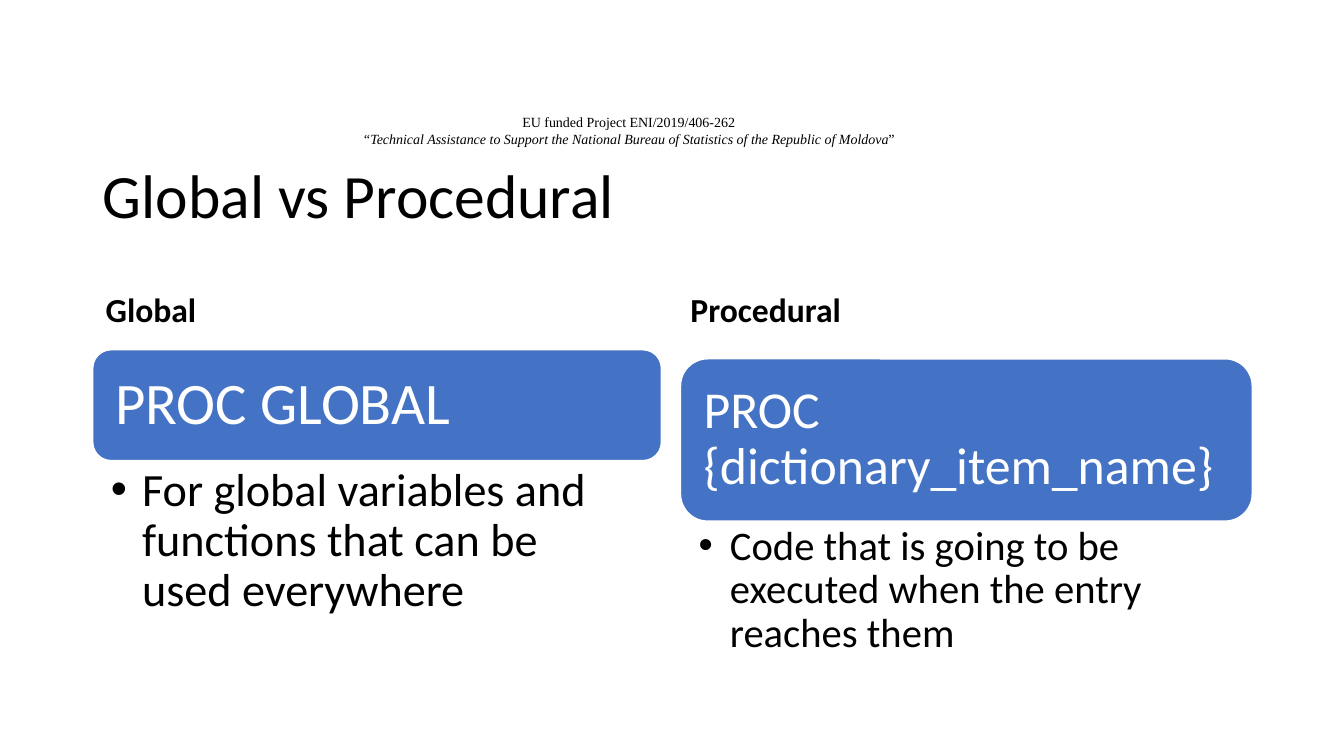
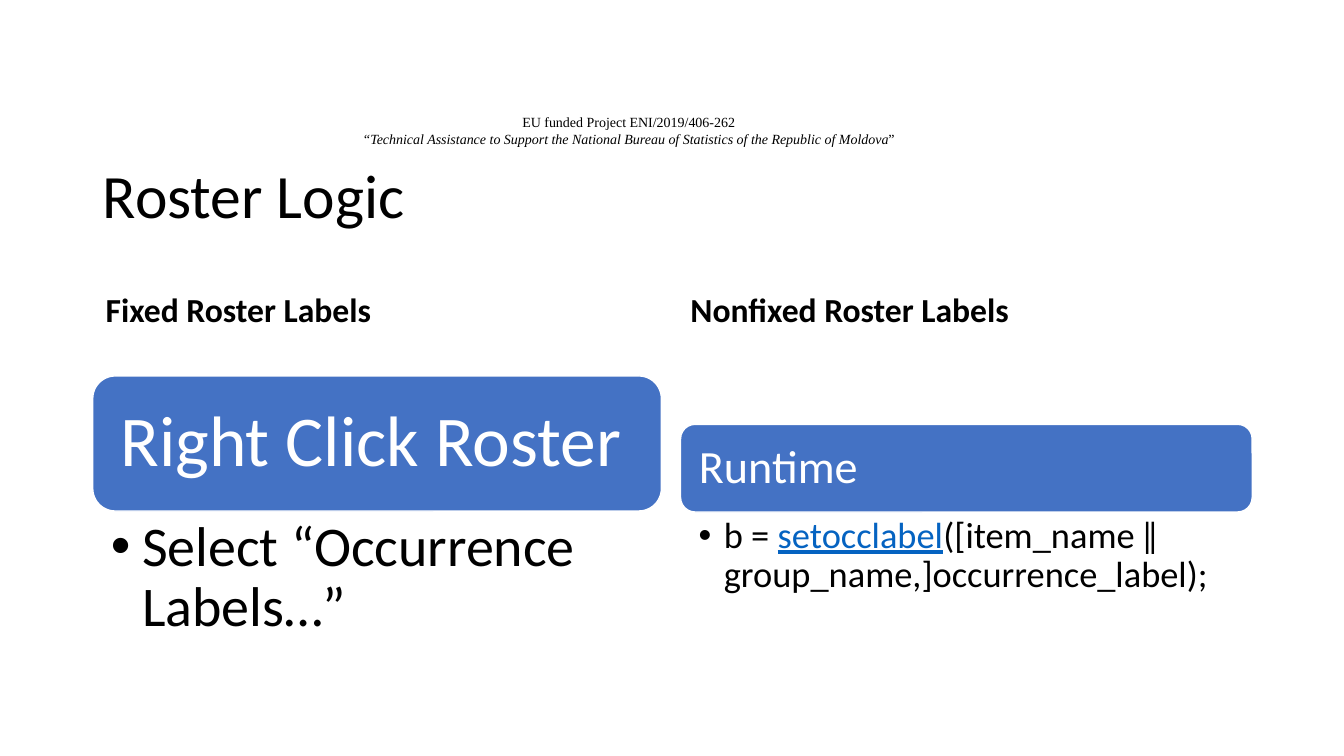
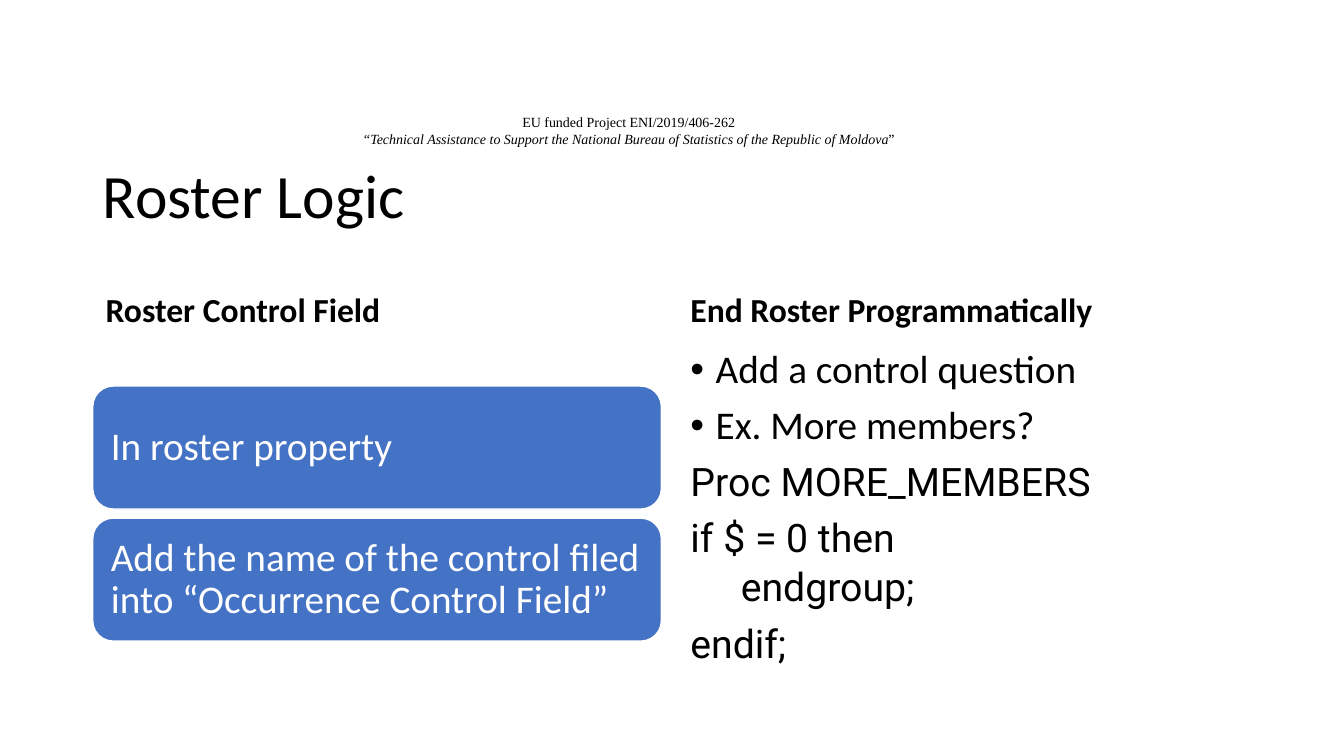
from dataclasses import dataclass
from typing import Any

from lxml import etree
from pptx import Presentation
from pptx.dml.color import RGBColor
from pptx.enum import shapes, text
from pptx.oxml.ns import qn
from pptx.util import Inches, Pt

BLACK = RGBColor(0x00, 0x00, 0x00)
WHITE = RGBColor(0xFF, 0xFF, 0xFF)
BLUE = RGBColor(0x44, 0x72, 0xC4)
LINK_BLUE = RGBColor(0x05, 0x63, 0xC1)
BODY_FONT = "Calibri"
CODE_FONT = "Roboto"
HEADER_FONT = "Times New Roman"
HEADING_TOP = 2.42
BAND_HEIGHT = 0.9
MIDDLE = text.MSO_ANCHOR.MIDDLE
BOTTOM = text.MSO_ANCHOR.BOTTOM
LEFT = text.PP_ALIGN.LEFT
CENTER = text.PP_ALIGN.CENTER


@dataclass(frozen=True)
class Run:
    text: str
    color: RGBColor = BLACK
    font: str = BODY_FONT
    bold: bool = False
    italic: bool = False
    underline: bool = False


@dataclass(frozen=True)
class Line:
    runs: tuple[Run, ...]
    size: float
    bullet: float = 0
    indent: float = 0
    before: float = 0
    spacing: float = 0.9
    align: text.PP_ALIGN = LEFT


@dataclass(frozen=True)
class Card:
    top: float
    height: float
    label: str
    size: float
    inset: float


@dataclass(frozen=True)
class Block:
    top: float
    height: float
    lines: tuple[Line, ...]
    insets: tuple[float, float, float, float] = (0.1, 0.05, 0.1, 0.05)


@dataclass(frozen=True)
class Column:
    heading: str
    cards: tuple[Card, ...] = ()
    block: Block | None = None


@dataclass(frozen=True)
class Place:
    left: float
    heading_left: float
    width: float


@dataclass(frozen=True)
class Page:
    title: str
    columns: tuple[Column, Column]


PLACES = (Place(0.92, 0.95, 5.64), Place(6.75, 6.75, 5.67))

HEADER_LINES = (
    Line((Run("EU funded Project ENI/2019/406-262", font=HEADER_FONT),), 10, spacing=1, align=CENTER),
    Line(
        (
            Run(
                "“Technical Assistance to Support the National Bureau of Statistics of the Republic of Moldova",
                font=HEADER_FONT,
                italic=True,
            ),
            Run("”", font=HEADER_FONT),
        ),
        10,
        spacing=1,
        align=CENTER,
    ),
)


def code_line(content: str, indent: float = 0, before: float = 10) -> Line:
    return Line((Run(content, font=CODE_FONT),), 28, indent=indent, before=before)


def bullet_line(content: str, size: float, bullet: float, before: float = 0) -> Line:
    return Line((Run(content),), size, bullet=bullet, before=before)


PAGES = (
    Page(
        "Global vs Procedural",
        (
            Column(
                "Global",
                (Card(3.47, 1.1, "PROC GLOBAL", 42, 0.17),),
                Block(
                    4.57,
                    2.14,
                    (bullet_line("For global variables and functions that can be used everywhere", 33, 0.31),),
                    (0.18, 0.06, 0.33, 0.06),
                ),
            ),
            Column(
                "Procedural",
                (Card(3.56, 1.61, "PROC {dictionary_item_name}", 37, 0.15),),
                Block(
                    5.16,
                    1.47,
                    (bullet_line("Code that is going to be executed when the entry reaches them", 29, 0.31),),
                    (0.18, 0.05, 0.29, 0.05),
                ),
            ),
        ),
    ),
    Page(
        "Roster Logic",
        (
            Column(
                "Fixed Roster Labels",
                (Card(3.73, 1.34, "Right Click Roster", 51, 0.21),),
                Block(
                    5.07,
                    1.39,
                    (bullet_line("Select “Occurrence Labels…”", 40, 0.31),),
                    (0.18, 0.07, 0.4, 0.07),
                ),
            ),
            Column(
                "Nonfixed Roster Labels",
                (Card(4.21, 0.87, "Runtime", 33, 0.14),),
                Block(
                    5.08,
                    0.9,
                    (
                        Line(
                            (
                                Run("b = "),
                                Run("setocclabel", color=LINK_BLUE, underline=True),
                                Run("([item_name ‖ group_name,]occurrence_label);"),
                            ),
                            26,
                            bullet=0.25,
                        ),
                    ),
                    (0.18, 0.05, 0.26, 0.05),
                ),
            ),
        ),
    ),
    Page(
        "Roster Logic",
        (
            Column(
                "Roster Control Field",
                (
                    Card(3.83, 1.22, "In roster property", 28, 0.12),
                    Card(5.14, 1.22, "Add the name of the control filed into “Occurrence Control Field”", 28, 0.12),
                ),
            ),
            Column(
                "End Roster Programmatically",
                block=Block(
                    3.42,
                    3.35,
                    (
                        bullet_line("Add a control question", 28, 0.25, 10),
                        bullet_line("Ex. More members?", 28, 0.25, 10),
                        code_line("Proc MORE_MEMBERS"),
                        code_line("if $ = 0 then"),
                        code_line("endgroup;", indent=0.5, before=5),
                        code_line("endif;"),
                    ),
                ),
            ),
        ),
    ),
)


def set_values(target: Any, values: dict[str, Any]) -> None:
    for name, value in values.items():
        setattr(target, name, value)


def indent_paragraph(paragraph: Any, line: Line) -> None:
    properties = paragraph._p.get_or_add_pPr()
    properties.set("marL", str(Inches(line.bullet or line.indent)))
    properties.set("indent", str(Inches(-line.bullet)))
    if line.bullet:
        etree.SubElement(properties, qn("a:buFont")).set("typeface", "Arial")
        etree.SubElement(properties, qn("a:buChar")).set("char", "•")


def write_lines(
    shape: Any,
    lines: tuple[Line, ...],
    anchor: text.MSO_ANCHOR = text.MSO_ANCHOR.TOP,
    insets: tuple[float, float, float, float] = (0.1, 0.05, 0.1, 0.05),
) -> None:
    frame = shape.text_frame
    sides = ("margin_left", "margin_top", "margin_right", "margin_bottom")
    set_values(frame, {side: Inches(inset) for side, inset in zip(sides, insets)})
    set_values(frame, {"word_wrap": True, "auto_size": text.MSO_AUTO_SIZE.NONE, "vertical_anchor": anchor})
    for index, line in enumerate(lines):
        paragraph = frame.add_paragraph() if index else frame.paragraphs[0]
        set_values(
            paragraph,
            {"alignment": line.align, "line_spacing": line.spacing, "space_before": Pt(line.before)},
        )
        indent_paragraph(paragraph, line)
        for item in line.runs:
            run = paragraph.add_run()
            run.text = item.text
            set_values(
                run.font,
                {
                    "name": item.font,
                    "size": Pt(line.size),
                    "bold": item.bold,
                    "italic": item.italic,
                    "underline": item.underline,
                },
            )
            run.font.color.rgb = item.color


def add_text(slide: Any, left: float, top: float, width: float, height: float) -> Any:
    return slide.shapes.add_textbox(Inches(left), Inches(top), Inches(width), Inches(height))


def add_layout_header(slide: Any) -> None:
    header = add_text(slide, 2.9, 1.08, 6.67, 0.44)
    write_lines(header, HEADER_LINES)
    slide.slide_layout.shapes.element.append(header.element)


def add_title(slide: Any, content: str) -> None:
    title = slide.shapes.title
    set_values(
        title,
        {"left": Inches(0.92), "top": Inches(1.52), "width": Inches(11.5), "height": Inches(BAND_HEIGHT)},
    )
    write_lines(title, (Line((Run(content),), 44),), MIDDLE)


def add_card(slide: Any, card: Card, place: Place) -> None:
    shape = slide.shapes.add_shape(
        shapes.MSO_SHAPE.ROUNDED_RECTANGLE,
        Inches(place.left),
        Inches(card.top),
        Inches(place.width),
        Inches(card.height),
    )
    shape.shadow.inherit = False
    shape.fill.solid()
    shape.fill.fore_color.rgb = BLUE
    shape.line.color.rgb = WHITE
    shape.line.width = Pt(1)
    write_lines(shape, (Line((Run(card.label, color=WHITE),), card.size),), MIDDLE, (card.inset,) * 4)


def add_column(slide: Any, column: Column, place: Place) -> None:
    heading = add_text(slide, place.heading_left, HEADING_TOP, place.width, BAND_HEIGHT)
    write_lines(heading, (Line((Run(column.heading, bold=True),), 24, before=10),), BOTTOM)
    for card in column.cards:
        add_card(slide, card, place)
    if column.block:
        block = column.block
        body = add_text(slide, place.left, block.top, place.width, block.height)
        write_lines(body, block.lines, insets=block.insets)


def main() -> None:
    presentation = Presentation()
    presentation.slide_width = Inches(13.33)
    presentation.slide_height = Inches(7.5)
    layout = presentation.slide_layouts[5]
    for index, page in enumerate(PAGES):
        slide = presentation.slides.add_slide(layout)
        if index == 0:
            add_layout_header(slide)
        add_title(slide, page.title)
        for column, place in zip(page.columns, PLACES):
            add_column(slide, column, place)
    presentation.save("out.pptx")


if __name__ == "__main__":
    main()
